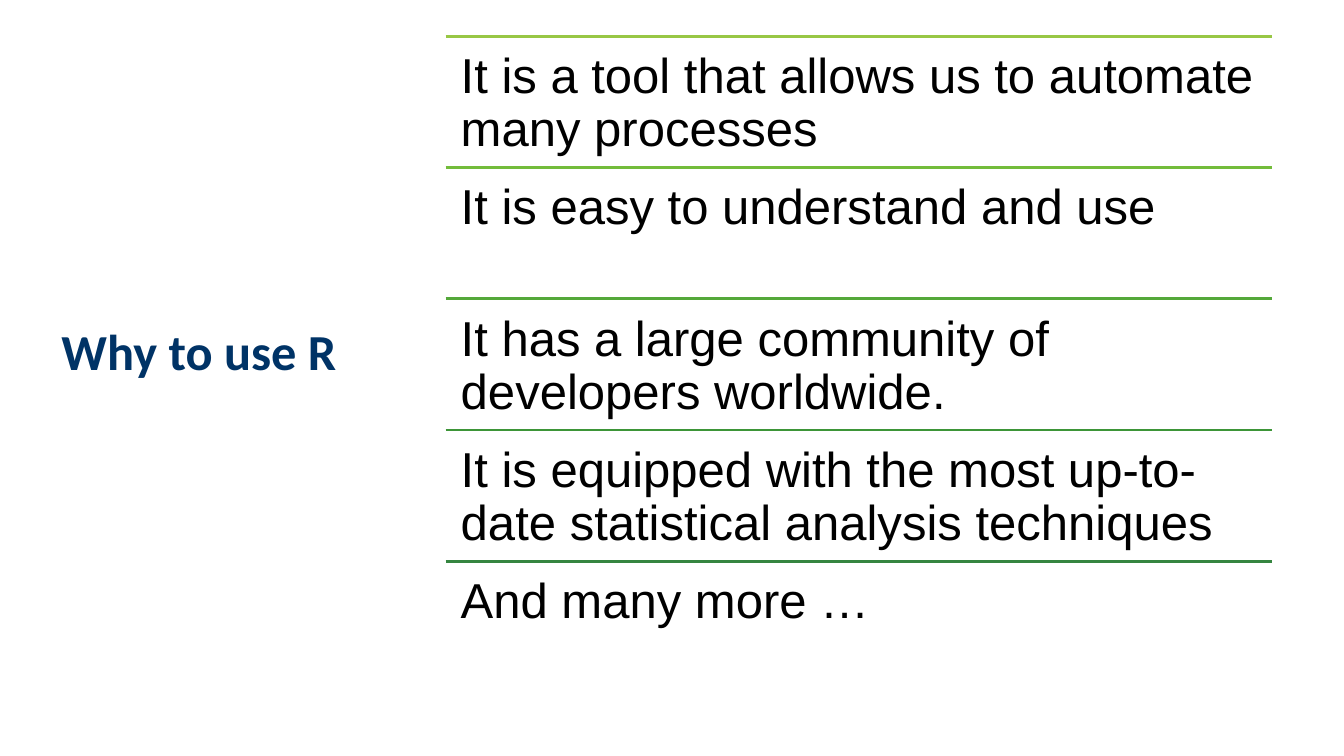
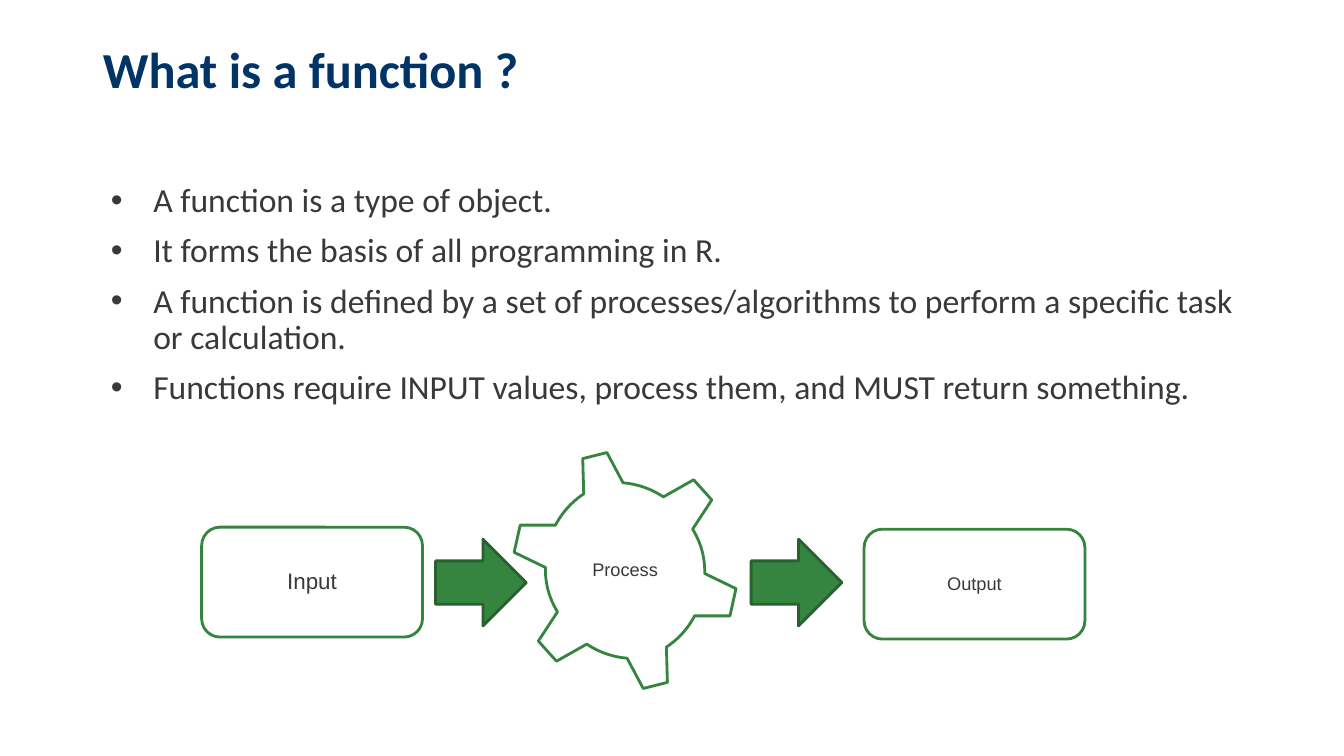
from math import atan2, cos, hypot, pi, sin
from lxml.etree import SubElement
from pptx import Presentation
from pptx.dml.color import RGBColor
from pptx.enum.shapes import MSO_CONNECTOR, MSO_SHAPE
from pptx.enum.text import MSO_ANCHOR, MSO_AUTO_SIZE, PP_ALIGN
from pptx.oxml.ns import qn
from pptx.util import Inches, Pt

NAVY, GREY, GREEN, DARK = "003366", "3B3838", "358540", "26612E"
TITLE = dict(size=36, face="Calibri", tint=NAVY, bold=True)


def paint(part, tint):
    """Give a fill, line or font one solid colour."""
    if hasattr(part, "solid"):
        part.solid()
        part = part.fore_color
    else:
        part = part.color
    part.rgb = RGBColor.from_string(tint)


def write(shape, lines, size, face, tint, bold=False, inset=None,
          align=PP_ALIGN.LEFT, anchor=MSO_ANCHOR.TOP, gap=0):
    """Fill a shape with styled paragraphs."""
    frame = shape.text_frame
    frame.word_wrap = True
    frame.auto_size = MSO_AUTO_SIZE.NONE
    frame.vertical_anchor = anchor
    if inset is not None:
        frame.margin_left = frame.margin_right = Inches(inset)
        frame.margin_top = frame.margin_bottom = Inches(inset)
    frame.text = "\n".join(lines)
    for i, para in enumerate(frame.paragraphs):
        para.alignment = align
        para.line_spacing = 0.9
        para.space_before = Pt(gap if i else 0)
        para.font.size = Pt(size)
        para.font.name = face
        para.font.bold = bold
        paint(para.font, tint)


deck = Presentation()
deck.slide_width, deck.slide_height = Inches(13.33), Inches(7.5)

# Slide 1: title on the left, ruled rows on the right
slide = deck.slides.add_slide(deck.slide_layouts[5])
top, left, wide, tall = 0.36, 4.42, 8.2, 6.51
head = slide.shapes.title
head.left, head.top = Inches(0.51), Inches(top)
head.width, head.height = Inches(3.37), Inches(6.31)
write(head, ["Why to use R"], anchor=MSO_ANCHOR.MIDDLE, **TITLE)

rows = [
    ("It is a tool that allows us to automate many processes", "98C745"),
    ("It is easy to understand and use", "73BC3B"),
    ("It has a large community of developers worldwide.", "54A83A"),
    ("It is equipped with the most up-to-date statistical analysis techniques",
     "3D9538"),
    ("And many more …", GREEN),
]
step = tall / len(rows)
for i, (text, tint) in enumerate(rows):
    y = Inches(top + i * step)
    rule = slide.shapes.add_connector(
        MSO_CONNECTOR.STRAIGHT, Inches(left), y, Inches(left + wide), y)
    rule.line.width = Pt(2)
    paint(rule.line, tint)
    SubElement(rule._element.spPr, qn("a:effectLst"))
    box = slide.shapes.add_textbox(
        Inches(left), y, Inches(wide), Inches(step))
    write(box, [text], 35, "Arial", "000000", inset=0.15)

# Slide 2: title and list
slide = deck.slides.add_slide(deck.slide_layouts[1])
head, body = slide.placeholders
for holder, y, high in ((head, 0.4, 1.15), (body, 1.77, 4.76)):
    holder.left, holder.top = Inches(0.92), Inches(y)
    holder.width, holder.height = Inches(11.5), Inches(high)
write(head, ["What is a function ?"], **TITLE)
write(body, [
    "A function is a type of object.",
    "It forms the basis of all programming in R.",
    "A function is defined by a set of processes/algorithms to perform "
    "a specific task or calculation.",
    "Functions require INPUT values, process them, and MUST return something.",
], 24, "Calibri", GREY, gap=10)
for para in body.text_frame.paragraphs:
    props = para._p.get_or_add_pPr()
    props.set("marL", str(Inches(0.5)))
    props.set("indent", str(Inches(-0.42)))

# Gear outline: three teeth, mirrored through the hub, joined by arcs
hub = 6.2, 5.66
half = [
    [(0.38, -0.73), (0.68, -0.9), (0.86, -0.7), (0.67, -0.41)],
    [(0.79, 0.03), (1.1, 0.18), (1.04, 0.45), (0.69, 0.45)],
    [(0.41, 0.76), (0.42, 1.11), (0.18, 1.17), (0.02, 0.87)],
]
teeth = half + [[(-x, -y) for x, y in tooth] for tooth in half]
dots = []
for i, tooth in enumerate(teeth):
    dots += tooth
    (ax, ay), (bx, by) = tooth[-1], teeth[(i + 1) % len(teeth)][0]
    turn = (atan2(by, bx) - atan2(ay, ax)) % (2 * pi)
    for k in range(1, 12):
        part = k / 12
        angle = atan2(ay, ax) + turn * part
        reach = hypot(ax, ay) * (1 - part) + hypot(bx, by) * part
        dots.append((reach * cos(angle), reach * sin(angle)))
dots = [(Inches(hub[0] + x), Inches(hub[1] + y)) for x, y in dots]
pen = slide.shapes.build_freeform(*dots[0])
pen.add_line_segments(dots[1:], close=True)
gear = pen.convert_to_shape()

# Flow: input, gear, output and the arrows between
flow = [(gear, "Process", 13, "FFFFFF", GREEN)]
for kind, x, y, w, h, text, size, fill, edge in (
    (MSO_SHAPE.ROUNDED_RECTANGLE, 2, 5.23, 2.19, 1.09, "Input", 16,
     "FFFFFF", GREEN),
    (MSO_SHAPE.ROUNDED_RECTANGLE, 8.57, 5.25, 2.19, 1.09, "Output", 13,
     "FFFFFF", GREEN),
    (MSO_SHAPE.RIGHT_ARROW, 4.32, 5.35, 0.9, 0.86, "", 13, GREEN, DARK),
    (MSO_SHAPE.RIGHT_ARROW, 7.45, 5.35, 0.9, 0.86, "", 13, GREEN, DARK),
):
    shape = slide.shapes.add_shape(
        kind, Inches(x), Inches(y), Inches(w), Inches(h))
    flow.append((shape, text, size, fill, edge))
for shape, text, size, fill, edge in flow:
    shape.shadow.inherit = False
    paint(shape.fill, fill)
    paint(shape.line, edge)
    shape.line.width = Pt(2)
    if text:
        write(shape, [text], size, "Arial", GREY, inset=0.05,
              align=PP_ALIGN.CENTER, anchor=MSO_ANCHOR.MIDDLE)

deck.save("out.pptx")
